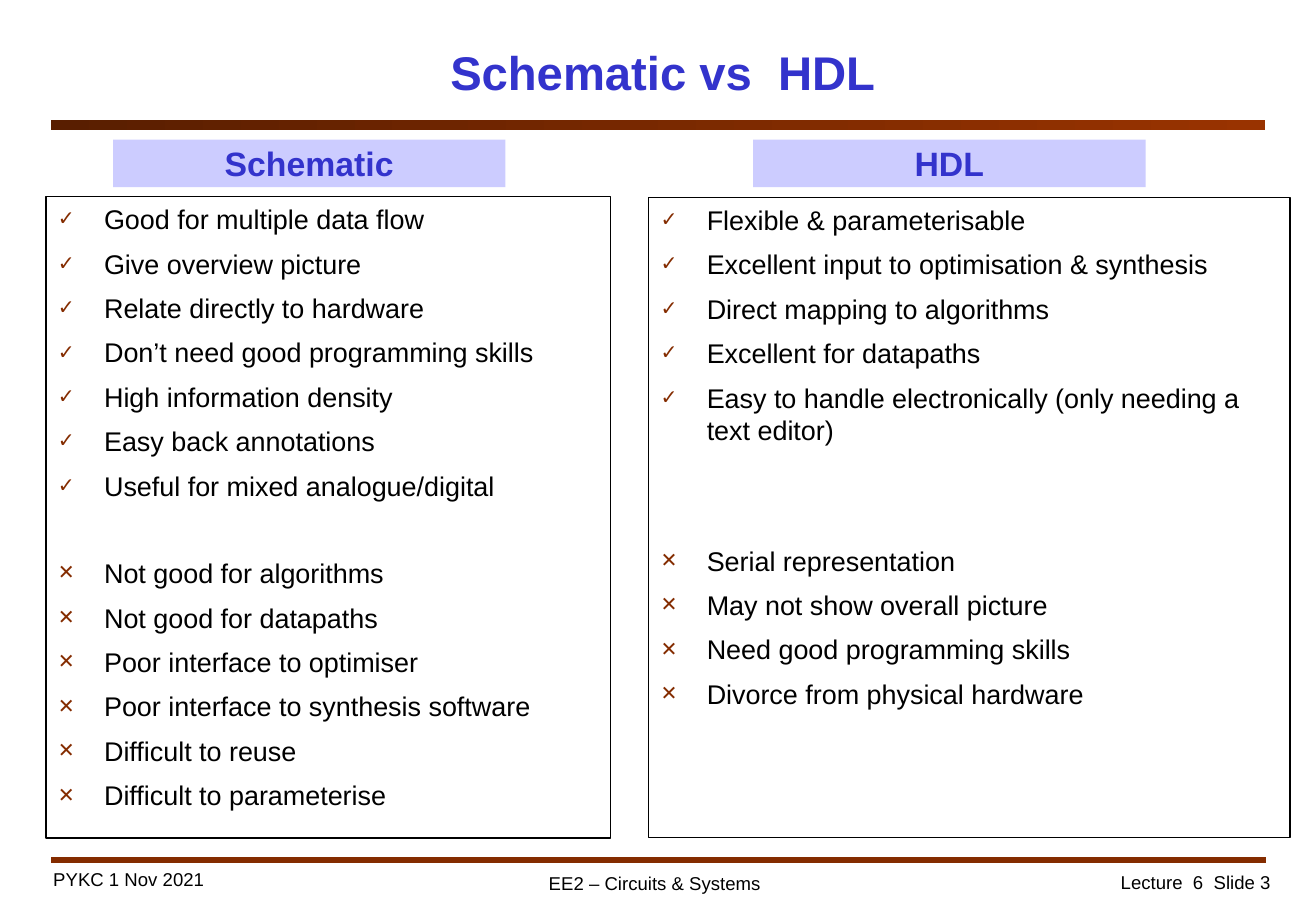
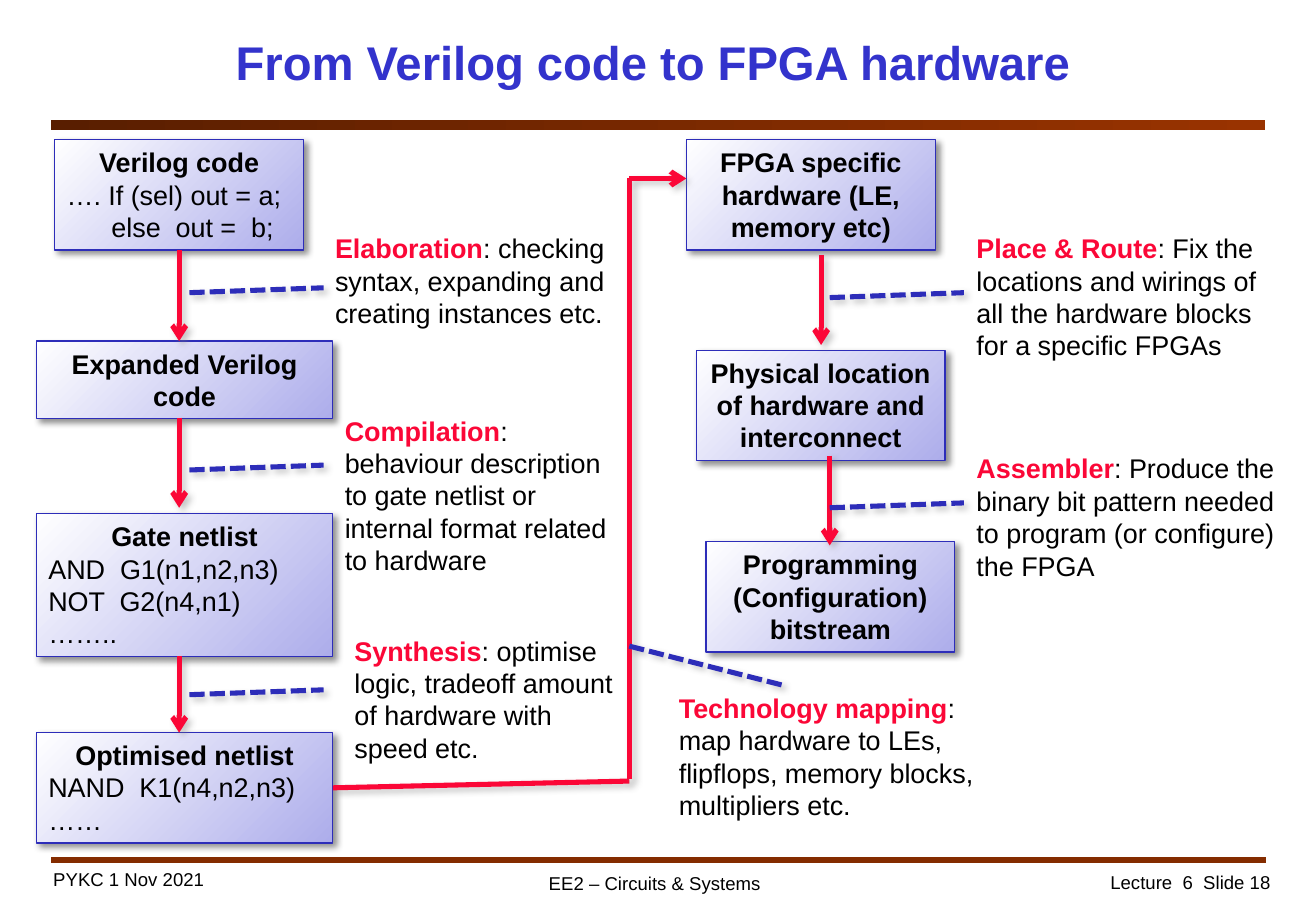
from dataclasses import dataclass

from lxml import etree
from pptx import Presentation
from pptx import slide as sl
from pptx import util as u
from pptx.dml import color as col
from pptx.enum import dml, shapes, text
from pptx.oxml import ns

FONT = "Arial"
BLACK, BLUE, LILAC, RUST = "000000", "3333CC", "CCCCFF", "842C00"
RED, NAVY, GREY = "FB0737", "2D2DB9", "808080"
LEFT, MID, RIGHT = text.PP_ALIGN.LEFT, text.PP_ALIGN.CENTER, text.PP_ALIGN.RIGHT
TOP, CENTRE = text.MSO_ANCHOR.TOP, text.MSO_ANCHOR.MIDDLE
SIZE = 16
GAP, ROW = 7.15, 25.53
INDENT = 27.4
BOX_W, WIDE_W = 147.6, 175.7


@dataclass
class Area:
    x: float
    y: float
    w: float
    h: float

    def pts(self) -> list[u.Length]:
        return [u.Pt(v) for v in (self.x, self.y, self.w, self.h)]


@dataclass
class Panel:
    head: str
    tab: Area
    frame: Area
    pros: list[str]
    cons: list[str]
    skip: int  # empty rows between pros and cons


@dataclass
class Stage:
    x: float
    y: float
    w: float
    rows: int
    name: str
    code: tuple[str, ...] = ()


@dataclass
class Note:
    x: float
    y: float
    w: float
    term: str
    rest: str


@dataclass
class Link:
    x1: float
    y1: float
    x2: float
    y2: float
    hue: str = RED
    head: bool = True
    start: tuple[str, int] | None = None  # stage name and side


def rgb(hue: str) -> col.RGBColor:
    return col.RGBColor.from_string(hue)


def add(parent, tag: str, **attrs):
    return etree.SubElement(parent, ns.qn(tag), {k: str(v) for k, v in attrs.items()})


def write(para, words: str, hue: str = BLACK, size: float = SIZE, bold: bool = False) -> None:
    run = para.add_run()
    run.text = words
    font = run.font
    font.name, font.size, font.bold = FONT, u.Pt(size), bold
    font.color.rgb = rgb(hue)


def set_frame(shape, align=LEFT, anchor=TOP, wrap: bool = True):
    """Prepare the text frame and return its first paragraph."""
    frame = shape.text_frame
    frame.word_wrap, frame.vertical_anchor = wrap, anchor
    frame.auto_size = text.MSO_AUTO_SIZE.NONE
    para = frame.paragraphs[0]
    para.alignment = align
    return para


def label(page: sl.Slide, area: Area, align, anchor=TOP, wrap: bool = True):
    return set_frame(page.shapes.add_textbox(*area.pts()), align, anchor, wrap)


def block(page: sl.Slide, area: Area, fill: str | None = None,
          line: str | None = None):
    shape = page.shapes.add_shape(shapes.MSO_SHAPE.RECTANGLE, *area.pts())
    shape.shadow.inherit = False
    if fill:
        shape.fill.solid()
        shape.fill.fore_color.rgb = rgb(fill)
    else:
        shape.fill.background()
    if line:
        shape.line.color.rgb = rgb(line)
        shape.line.width = u.Pt(0.75)
    else:
        shape.line.fill.background()
    return shape


def blend(shape, first: str, last: str) -> None:
    shape.fill.gradient()
    shape.fill.gradient_angle = 0
    for stop, hue in zip(shape.fill.gradient_stops, (first, last)):
        stop.color.rgb = rgb(hue)


def shade(shape, hue: str) -> None:
    """Give a shape or connector a soft shadow to the lower right."""
    props = shape._element.spPr
    holder = props.find(ns.qn("a:effectLst"))
    if holder is None:
        holder = add(props, "a:effectLst")
    outer = add(holder, "a:outerShdw", blurRad=u.Pt(4), dist=u.Pt(3),
                dir=45 * 60000, algn="tl", rotWithShape=0)
    add(add(outer, "a:srgbClr", val=hue), "a:alpha", val=43000)


def stroke(page: sl.Slide, link: Link, dash: bool = False):
    ends = [u.Pt(v) for v in (link.x1, link.y1, link.x2, link.y2)]
    line = page.shapes.add_connector(shapes.MSO_CONNECTOR.STRAIGHT, *ends)
    line.line.color.rgb = rgb(link.hue)
    line.line.width = u.Pt(3)
    props = line._element.spPr
    if dash:
        line.line.dash_style = dml.MSO_LINE.SQUARE_DOT
    if link.head:
        add(props.find(ns.qn("a:ln")), "a:tailEnd", type="arrow")
    add(props, "a:effectLst")
    return line


def new_page(deck, title: str, area: Area, number: int) -> sl.Slide:
    """Add a title-only slide with the shared band, rule and footers."""
    page = deck.slides.add_slide(deck.slide_layouts[5])
    head = page.shapes.title
    head.left, head.top, head.width, head.height = area.pts()
    write(set_frame(head, MID, CENTRE), title, BLUE, 28, True)
    blend(block(page, Area(30.3, 71.3, 719.3, 5.8), RUST), "591E00", "993300")
    stroke(page, Link(30.3, 509.8, 750.3, 509.8, RUST, False))
    write(label(page, Area(594, 512.6, 166.3, 20.2), RIGHT, CENTRE),
          f"Lecture  6  Slide {number}", size=11)
    write(label(page, Area(23.8, 511.2, 105.1, 20.9), MID, wrap=False),
          "PYKC 1 Nov 2021", size=11)
    write(label(page, Area(318.2, 513.4, 141.1, 20.9), LEFT),
          "EE2 – Circuits & Systems", size=11)
    return page


def bullet(para, mark: str) -> None:
    props = para._p.get_or_add_pPr()
    props.set("marL", str(u.Pt(INDENT)))
    props.set("indent", str(-u.Pt(INDENT)))
    add(add(props, "a:buClr"), "a:srgbClr", val=RUST)
    add(props, "a:buSzPct", val=75000)
    add(props, "a:buFont", typeface=FONT)
    add(props, "a:buChar", char=mark)


def draw_panel(page: sl.Slide, panel: Panel) -> None:
    shape = block(page, panel.frame, line=BLACK)
    para = set_frame(shape)
    items = [("✓", p) for p in panel.pros] + [("✕", c) for c in panel.cons]
    for i, (mark, words) in enumerate(items):
        if i:
            para = shape.text_frame.add_paragraph()
            para.alignment = LEFT
        bullet(para, mark)
        if i:
            skip = panel.skip if i == len(panel.pros) else 0
            para.space_before = u.Pt(GAP + skip * ROW)
        write(para, words)
    tab = block(page, panel.tab, LILAC)
    write(set_frame(tab, MID, CENTRE), panel.head, BLUE, 20, True)


def draw_stage(page: sl.Slide, stage: Stage):
    area = Area(stage.x, stage.y, stage.w, 7.2 + 19.4 * stage.rows)
    shape = block(page, area, LILAC, NAVY)
    blend(shape, "ADADEB", "FFFFFF")
    fill = shape._element.spPr.find(ns.qn("a:gradFill"))
    fill.remove(fill.find(ns.qn("a:lin")))
    add(add(fill, "a:path", path="circle"), "a:fillToRect", l=100000, t=100000)
    shade(shape, BLACK)
    write(set_frame(shape, MID), stage.name, bold=True)
    for words in stage.code:
        para = shape.text_frame.add_paragraph()
        para.alignment = LEFT
        write(para, words)
    return shape


def draw_note(page: sl.Slide, note: Note) -> None:
    para = label(page, Area(note.x, note.y, note.w, 90.7), LEFT)
    write(para, note.term, RED, bold=True)
    write(para, ": " + note.rest)


PANELS = [
    Panel("Schematic", Area(67, 82.8, 232.6, 28.1), Area(27.2, 116.6, 334.8, 380.2),
          ["Good for multiple data flow", "Give overview picture",
           "Relate directly to hardware", "Don’t need good programming skills",
           "High information density", "Easy back annotations",
           "Useful for mixed analogue/digital"],
          ["Not good for algorithms", "Not good for datapaths",
           "Poor interface to optimiser", "Poor interface to synthesis software",
           "Difficult to reuse", "Difficult to parameterise"], 1),
    Panel("HDL", Area(446.4, 82.8, 232.6, 28.1), Area(384.4, 117, 380.2, 379.6),
          ["Flexible & parameterisable", "Excellent input to optimisation & synthesis",
           "Direct mapping to algorithms", "Excellent for datapaths",
           "Easy to handle electronically (only needing a text editor)"],
          ["Serial representation", "May not show overall picture",
           "Need good programming skills", "Divorce from physical hardware"], 2),
]

STAGES = [
    Stage(32.4, 82.8, BOX_W, 3, "Verilog code",
          ("…. If (sel) out = a;", "      else  out =  b;")),
    Stage(21.6, 202.2, WIDE_W, 2, "Expanded Verilog code"),
    Stage(21.6, 304.6, WIDE_W, 4, "Gate netlist",
          ("AND  G1(n1,n2,n3)", "NOT  G2(n4,n1)", "……..")),
    Stage(21.6, 434.3, WIDE_W, 3, "Optimised netlist", ("NAND  K1(n4,n2,n3)", "……")),
    Stage(406.8, 82.8, BOX_W, 3, "FPGA specific hardware (LE, memory etc)"),
    Stage(412.6, 207.6, BOX_W, 3, "Physical location of hardware and interconnect"),
    Stage(418.4, 321.1, BOX_W, 3, "Programming (Configuration) bitstream"),
]

NOTES = [
    Note(191.5, 133.9, WIDE_W, "Elaboration",
         "checking syntax, expanding and creating instances etc."),
    Note(197.3, 241.9, WIDE_W, "Compilation",
         "behaviour description to gate netlist or internal format related to hardware"),
    Note(203, 372.4, 170, "Synthesis",
         "optimise logic, tradeoff amount of hardware with speed etc."),
    Note(395.3, 406.4, 198.7, "Technology mapping",
         "map hardware to LEs, flipflops, memory blocks, multipliers etc."),
    Note(571.7, 133.9, 198.7, "Place & Route",
         "Fix the locations and wirings of all the hardware blocks for a specific FPGAs"),
    Note(571.7, 264.4, 198.7, "Assembler",
         "Produce the binary bit pattern needed to program (or configure) the FPGA"),
]

FLOWS = [
    Link(106.2, 148.2, 106.2, 202.2, start=("Verilog code", 2)),
    Link(106.2, 247.7, 106.2, 301),
    Link(106.2, 389, 106.2, 434.3),
    Link(197.3, 467, 373, 463, head=False, start=("Optimised netlist", 3)),
    Link(373, 461.5, 373, 105.8, head=False),
    Link(373, 105.8, 406.8, 105.8),
    Link(486.7, 151.2, 486.7, 204.5),
    Link(491.8, 270, 491.8, 323.3),
]

HINTS = [Link(x, y, x + 79.5, y - 2.9, NAVY, False)
         for x, y in ((112.3, 173.5), (112.3, 278.6), (112.3, 411.8),
                      (491.8, 176.4), (491.8, 301))]
HINTS.append(Link(373, 383, 463.7, 406.1, NAVY, False))


def main() -> None:
    deck = Presentation()
    deck.slide_width, deck.slide_height = u.Pt(780), u.Pt(540)

    page = new_page(deck, "Schematic vs  HDL", Area(61.2, 18.8, 663.1, 47.5), 3)
    for panel in PANELS:
        draw_panel(page, panel)

    page = new_page(deck, "From Verilog code to FPGA hardware",
                    Area(55.4, 13, 663.1, 47.5), 18)
    boxes = {stage.name: draw_stage(page, stage) for stage in STAGES}
    for flow in FLOWS:
        line = stroke(page, flow)
        shade(line, GREY)
        if flow.start:
            name, side = flow.start
            line.begin_connect(boxes[name], side)
    for hint in HINTS:
        shade(stroke(page, hint, dash=True), GREY)
    for note in NOTES:
        draw_note(page, note)

    deck.save("out.pptx")


if __name__ == "__main__":
    main()
